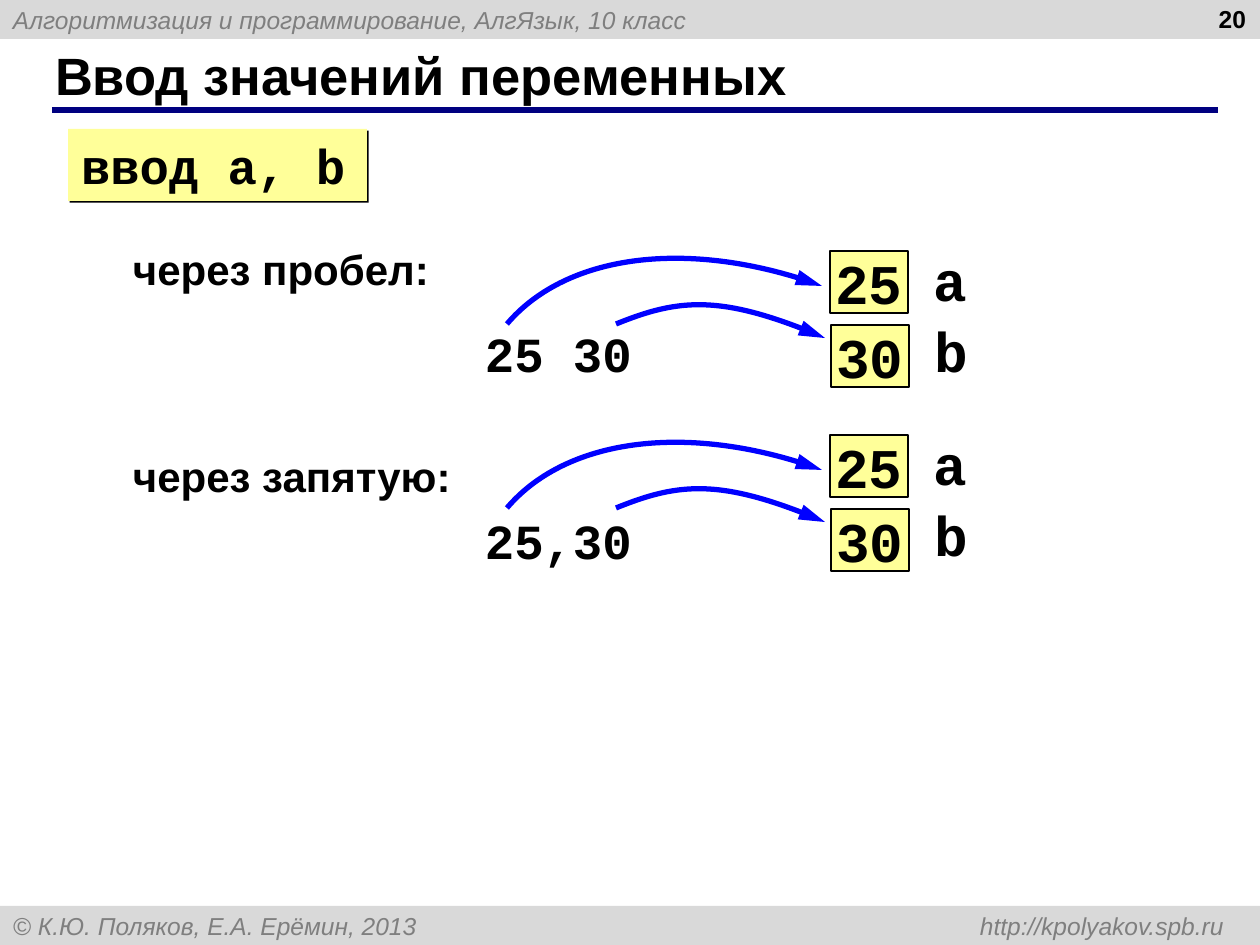
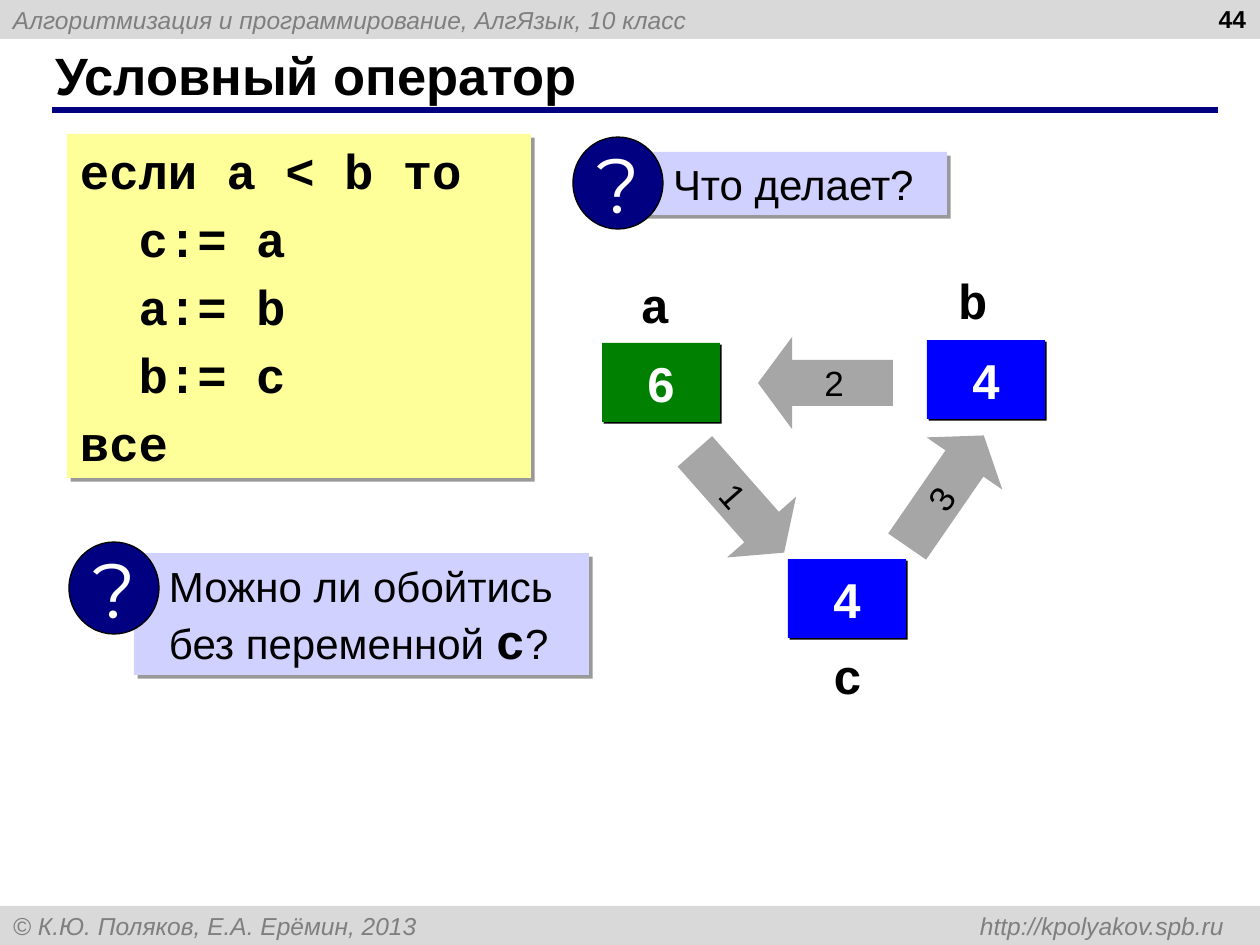
from lxml.etree import SubElement
from pptx import Presentation
from pptx.dml.color import RGBColor
from pptx.enum.shapes import MSO_CONNECTOR, MSO_SHAPE as SHAPE
from pptx.enum.text import MSO_ANCHOR as ANCHOR, MSO_AUTO_SIZE, PP_ALIGN as ALIGN
from pptx.oxml.ns import qn
from pptx.util import Emu, Pt

PX = 914400 / 126
WIDTH, HEIGHT, BAND = 1260, 945, 39

BLACK = RGBColor(0x00, 0x00, 0x00)
WHITE = RGBColor(0xFF, 0xFF, 0xFF)
NAVY = RGBColor(0x00, 0x00, 0x80)
BLUE = RGBColor(0x00, 0x00, 0xFF)
GREEN = RGBColor(0x00, 0x80, 0x00)
YELLOW = RGBColor(0xFF, 0xFF, 0x99)
LILAC = RGBColor(0xD1, 0xD1, 0xFF)
ARROW_GREY = RGBColor(0xA6, 0xA6, 0xA6)
BAND_GREY = RGBColor(0xD9, 0xD9, 0xD9)
TEXT_GREY = RGBColor(0x7F, 0x7F, 0x7F)

SANS, MONO, SIGN = "Arial", "Courier New", "Montserrat"
SOFT_SHADOW = (40, 3)      # opacity in percent, distance in points
HARD_SHADOW = (100, 1.4)


def px(length):
    return Emu(round(length * PX))


def box_px(*box):
    return [px(length) for length in box]


# Text
def add_run(paragraph, text, size=24, font=SANS, color=BLACK, bold=False, italic=False):
    run = paragraph.add_run()
    run.text = text
    run.font.size, run.font.name = Pt(size), font
    run.font.bold, run.font.italic = bold, italic
    run.font.color.rgb = color


def write(frame, *lines, align=ALIGN.LEFT, anchor=ANCHOR.TOP, wrap=True,
          left=13, top=6, before=0, **style):
    """Write one paragraph a line; a line is a string or a list of (text, style) runs."""
    frame.auto_size = MSO_AUTO_SIZE.NONE
    frame.word_wrap, frame.vertical_anchor = wrap, anchor
    frame.margin_left, frame.margin_right = px(left), px(13)
    frame.margin_top, frame.margin_bottom = px(top), px(6)
    for index, line in enumerate(lines):
        paragraph = frame.add_paragraph() if index else frame.paragraphs[0]
        paragraph.alignment = align
        if index and before:
            paragraph.space_before = Pt(before)
        for text, extra in [(line, {})] if isinstance(line, str) else line:
            add_run(paragraph, text, **{**style, **extra})


def centred(frame, text, **style):
    write(frame, text, align=ALIGN.CENTER, anchor=ANCHOR.MIDDLE, wrap=False, **style)


# Shapes
def add_block(slide, kind, box, fill, outline=None, shadow=None):
    block = slide.shapes.add_shape(kind, *box_px(*box))
    block.fill.solid()
    block.fill.fore_color.rgb = fill
    if outline:
        block.line.color.rgb, block.line.width = BLACK, Pt(outline)
    else:
        block.line.fill.background()
    block.shadow.inherit = False
    if shadow:
        opacity, distance = shadow
        effects = block._element.spPr.find(qn("a:effectLst"))
        outer = SubElement(effects, qn("a:outerShdw"), blurRad="0", dist=str(Pt(distance)),
                           dir="2700000", algn="ctr", rotWithShape="0")
        color = SubElement(outer, qn("a:srgbClr"), val=str(BLACK))
        SubElement(color, qn("a:alpha"), val=str(opacity * 1000))
    return block


def add_label(slide, box, text, size):
    label = slide.shapes.add_textbox(*box_px(*box))
    centred(label.text_frame, text, size=size, font=MONO, bold=True)


def add_curve(slide, left, top, controls):
    """Draw a cubic curve with an arrowhead at its end."""
    start, *others = [(px(left + x), px(top + y)) for x, y in controls]
    builder = slide.shapes.build_freeform(*start)
    builder.add_line_segments(others, close=False)
    curve = builder.convert_to_shape()
    curve.fill.background()
    curve.line.color.rgb, curve.line.width = BLUE, Pt(3)
    curve.shadow.inherit = False

    # Turn the three segments into one cubic segment
    properties = curve._element.spPr
    outline = properties.find(".//" + qn("a:path"))
    segments = outline.findall(qn("a:lnTo"))
    cubic = SubElement(outline, qn("a:cubicBezTo"))
    for segment in segments:
        cubic.append(segment[0])
        outline.remove(segment)
    SubElement(properties.find(qn("a:ln")), qn("a:tailEnd"), type="triangle", len="lg")


# Frame that all slides share
def add_band(slide, top, text, tab=None):
    band = add_block(slide, SHAPE.RECTANGLE, (0, top, WIDTH, BAND), BAND_GREY)
    if tab:
        properties = band.text_frame.paragraphs[0]._p.get_or_add_pPr()
        stops = SubElement(properties, qn("a:tabLst"))
        SubElement(stops, qn("a:tab"), pos=str(px(tab)), algn="r")
    write(band.text_frame, text, anchor=ANCHOR.MIDDLE, size=14, color=TEXT_GREY, italic=True)


def add_framed_slide(deck, heading, number):
    slide = deck.slides.add_slide(deck.slide_layouts[5])
    add_band(slide, 0, "Алгоритмизация и программирование, АлгЯзык, 10 класс")
    add_band(slide, HEIGHT - BAND,
             "© К.Ю. Поляков, Е.А. Ерёмин, 2013\thttp://kpolyakov.spb.ru", tab=1211)

    rule = slide.shapes.add_connector(MSO_CONNECTOR.STRAIGHT, *box_px(52, 110, 1218, 110))
    rule.line.color.rgb, rule.line.width = NAVY, Pt(3)
    SubElement(rule._element.spPr, qn("a:effectLst"))

    title = slide.shapes.title
    title.left, title.top, title.width, title.height = box_px(42, 42, 1154, 66)
    write(title.text_frame, heading, anchor=ANCHOR.MIDDLE, size=30, bold=True)

    page = slide.shapes.add_textbox(*box_px(965, -2, 294, 66))
    write(page.text_frame, number, align=ALIGN.RIGHT, size=14, bold=True)
    return slide


def add_code(slide, box, *lines, shadow):
    code = add_block(slide, SHAPE.RECTANGLE, box, YELLOW, shadow=shadow)
    write(code.text_frame, *lines, top=7, before=5.2, size=28, font=MONO, bold=True)


# Slide: input of variables
def add_input_ways(slide, box):
    ways = slide.shapes.add_textbox(*box_px(*box))
    typed = {"size": 28, "font": MONO}
    write(ways.text_frame, "через пробел:", [("25 30", typed)],
          "через запятую:", [("25,30", typed)], top=6, before=5.2, bold=True)
    first, *_ = paragraphs = ways.text_frame.paragraphs
    first.space_after = Pt(12)
    paragraphs[2].space_before = Pt(39)
    for values in paragraphs[1::2]:
        values._p.get_or_add_pPr().set("marL", str(px(352)))


def add_assignment(slide, left, top):
    """Curves that lead the two typed values into the cells a and b."""
    for name, value, x, y, label_y in (("a", "25", 323, 13, 5), ("b", "30", 324, 87, 76)):
        add_label(slide, (left + x + 88, top + label_y, 64, 72), name, 32)
        cell = add_block(slide, SHAPE.RECTANGLE, (left + x, top + y, 78, 62), YELLOW, outline=1)
        centred(cell.text_frame, value, size=32, font=MONO, bold=True)
    add_curve(slide, left, top, ((0, 86), (57, 19), (185, 0), (315, 48)))
    add_curve(slide, left, top, ((109, 86), (168, 62), (216, 56), (318, 100)))


def build_input_slide(deck):
    slide = add_framed_slide(deck, "Ввод значений переменных", "20")
    add_input_ways(slide, (120, 237, 1074, 336))
    add_code(slide, (68, 129, 299, 72), "ввод a, b", shadow=HARD_SHADOW)
    for case in range(2):
        add_assignment(slide, 507, 238 + 184 * case)


# Slide: conditional operator
def add_question(slide, left, top, box, *lines):
    """Question mark disc at left, top; the box is placed relative to it."""
    x, y, width, height = box
    question = add_block(slide, SHAPE.RECTANGLE, (left + x, top + y, width, height),
                         LILAC, shadow=SOFT_SHADOW)
    write(question.text_frame, *lines, left=35, top=7)
    disc = add_block(slide, SHAPE.OVAL, (left, top, 90, 92), NAVY, outline=0.75)
    centred(disc.text_frame, "?", size=44, font=SIGN, color=WHITE)


def add_swap_scheme(slide, left, top):
    # Cells with the names of the variables
    for name, value, fill, x, y, label_x, label_y in (
            ("c", "4", BLUE, 186, 294, 213, 374),
            ("a", "6", GREEN, 0, 78, 20, 3),
            ("b", "4", BLUE, 325, 75, 338, -1)):
        cell = add_block(slide, SHAPE.RECTANGLE, (left + x, top + y, 118, 79),
                         fill, shadow=HARD_SHADOW)
        centred(cell.text_frame, value, size=28, color=WHITE, bold=True)
        add_label(slide, (left + label_x, top + label_y, 66, 71), name, 28)

    # Numbered steps of the swap
    for step, kind, x, y, turn in (("1", SHAPE.RIGHT_ARROW, 70, 191, 48.6),
                                   ("2", SHAPE.LEFT_ARROW, 156, 72, 0),
                                   ("3", SHAPE.RIGHT_ARROW, 276, 180, 304.6)):
        arrow = add_block(slide, kind, (left + x, top + y, 135, 92), ARROW_GREY)
        arrow.adjustments[0], arrow.adjustments[1] = 0.5, 0.37
        arrow.rotation = turn
        centred(arrow.text_frame, step, size=20)


def build_condition_slide(deck):
    slide = add_framed_slide(deck, "Условный оператор", "44")
    add_code(slide, (67, 134, 464, 344), "если a < b то", "  с:= a", "  a:= b", "  b:= c",
             "все", shadow=SOFT_SHADOW)
    add_question(slide, 573, 137, (65, 15, 309, 63), "Что делает?")
    add_swap_scheme(slide, 602, 265)
    add_question(slide, 69, 542, (65, 11, 455, 122), "Можно ли обойтись",
                 [("без переменной ", {}),
                  ("c", {"size": 28, "font": MONO, "bold": True}), ("?", {})])


def main():
    deck = Presentation()
    deck.slide_width, deck.slide_height = px(WIDTH), px(HEIGHT)
    build_input_slide(deck)
    build_condition_slide(deck)
    deck.save("out.pptx")


if __name__ == "__main__":
    main()
